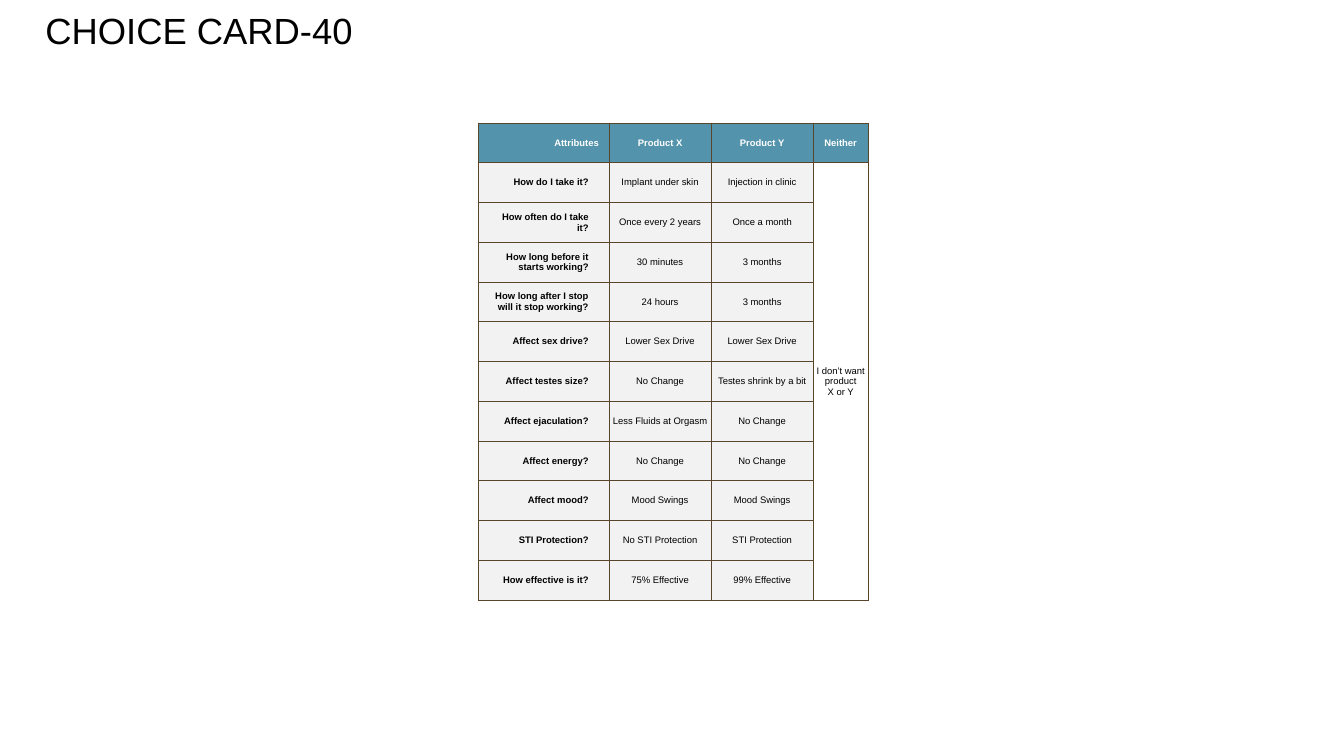
from dataclasses import dataclass

from lxml.etree import SubElement
from pptx import Presentation
from pptx.dml.color import RGBColor as RGB
from pptx.enum.text import MSO_ANCHOR as Anchor, PP_ALIGN as Align
from pptx.oxml.ns import qn
from pptx.util import Inches, Pt


@dataclass(frozen=True)
class Theme:
    font: str = "Arial"
    title_size: float = 46.2
    title_line: float = 30.7
    cell_size: float = 12
    border_width: float = 1
    ink: str = "000000"
    white: str = "FFFFFF"
    head: str = "5393AB"
    body: str = "F2F2F2"
    border: str = "59452A"


THEME = Theme()

HEADS = ["Attributes", "Product X", "Product Y", "Neither"]
CHOICES = [
    ("How do I take it?", "Implant under skin", "Injection in clinic"),
    ("How often do I take it?", "Once every 2 years", "Once a month"),
    ("How long before it starts working?", "30 minutes", "3 months"),
    ("How long after I stop will it stop working?", "24 hours", "3 months"),
    ("Affect sex drive?", "Lower Sex Drive", "Lower Sex Drive"),
    ("Affect testes size?", "No Change", "Testes shrink by a bit"),
    ("Affect ejaculation?", "Less Fluids at Orgasm", "No Change"),
    ("Affect energy?", "No Change", "No Change"),
    ("Affect mood?", "Mood Swings", "Mood Swings"),
    ("STI Protection?", "No STI Protection", "STI Protection"),
    ("How effective is it?", "75% Effective", "99% Effective"),
]
NEITHER = "I don’t want product\nX or Y"
COLUMNS = [2.3, 1.8, 1.8, 0.97]

# Cell insets: left, top, right, bottom
HEAD_PAD = (0.18, 0.09, 0.18, 0.09)
LABEL_PAD = (0.18, 0.09, 0.36, 0.09)
VALUE_PAD = (0.04, 0.02, 0.04, 0.02)


def set_pad(target, pad):
    """Set the insets of a cell or text frame, in inches."""
    sides = [Inches(side) for side in pad]
    (target.margin_left, target.margin_top,
     target.margin_right, target.margin_bottom) = sides


def set_font(par, size, color, bold=False):
    for run in par.runs:
        run.font.name = THEME.font
        run.font.size = Pt(size)
        run.font.bold = bold
        run.font.color.rgb = RGB.from_string(color)


def add_border(cell):
    """Line all four sides; lines must precede the fill in the cell XML."""
    props = cell._tc.get_or_add_tcPr()
    for side in ("lnL", "lnR", "lnT", "lnB"):
        line = SubElement(props, qn(f"a:{side}"), w=str(Pt(THEME.border_width)))
        fill = SubElement(line, qn("a:solidFill"))
        SubElement(fill, qn("a:srgbClr"), val=THEME.border)


def fill_cell(cell, text, fill, color, pad, align=Align.CENTER, bold=False):
    add_border(cell)
    cell.fill.solid()
    cell.fill.fore_color.rgb = RGB.from_string(fill)
    cell.vertical_anchor = Anchor.MIDDLE
    set_pad(cell, pad)
    cell.text_frame.text = text
    for par in cell.text_frame.paragraphs:
        par.alignment = align
        set_font(par, THEME.cell_size, color, bold)


def add_title(slide, text, left, top, width, height):
    box = slide.shapes.add_textbox(*map(Inches, (left, top, width, height)))
    frame = box.text_frame
    frame.word_wrap = True
    set_pad(frame, (0.07, 0.07, 0.07, 0.07))
    frame.text = text
    par = frame.paragraphs[0]
    par.line_spacing = Pt(THEME.title_line)
    set_font(par, THEME.title_size, THEME.ink)


def add_card(slide, left, top, width, height):
    """Place the choice table, with one merged answer under Neither."""
    rows, cols = len(CHOICES) + 1, len(HEADS)
    frame = slide.shapes.add_table(
        rows, cols, *map(Inches, (left, top, width, height)))
    table = frame.table
    for column, share in zip(table.columns, COLUMNS):
        column.width = Inches(width * share / sum(COLUMNS))
    for row in table.rows:
        row.height = Inches(height / rows)

    for col, head in enumerate(HEADS):
        align = Align.CENTER if col else Align.RIGHT
        fill_cell(table.cell(0, col), head, THEME.head, THEME.white,
                  HEAD_PAD, align, True)
    for row, (label, *values) in enumerate(CHOICES, 1):
        fill_cell(table.cell(row, 0), label, THEME.body, THEME.ink,
                  LABEL_PAD, Align.RIGHT, True)
        for col, value in enumerate(values, 1):
            fill_cell(table.cell(row, col), value, THEME.body, THEME.ink,
                      VALUE_PAD)
        fill_cell(table.cell(row, cols - 1), NEITHER if row == 1 else "",
                  THEME.white, THEME.ink, VALUE_PAD)
    table.cell(1, cols - 1).merge(table.cell(rows - 1, cols - 1))


def main():
    deck = Presentation()
    deck.slide_width, deck.slide_height = Inches(23.7), Inches(13.33)
    slide = deck.slides.add_slide(deck.slide_layouts[6])
    add_title(slide, "CHOICE CARD-40", 0.73, 0.42, 18.05, 0.74)
    add_card(slide, 8.44, 2.17, 6.87, 8.41)
    deck.save("out.pptx")


if __name__ == "__main__":
    main()
